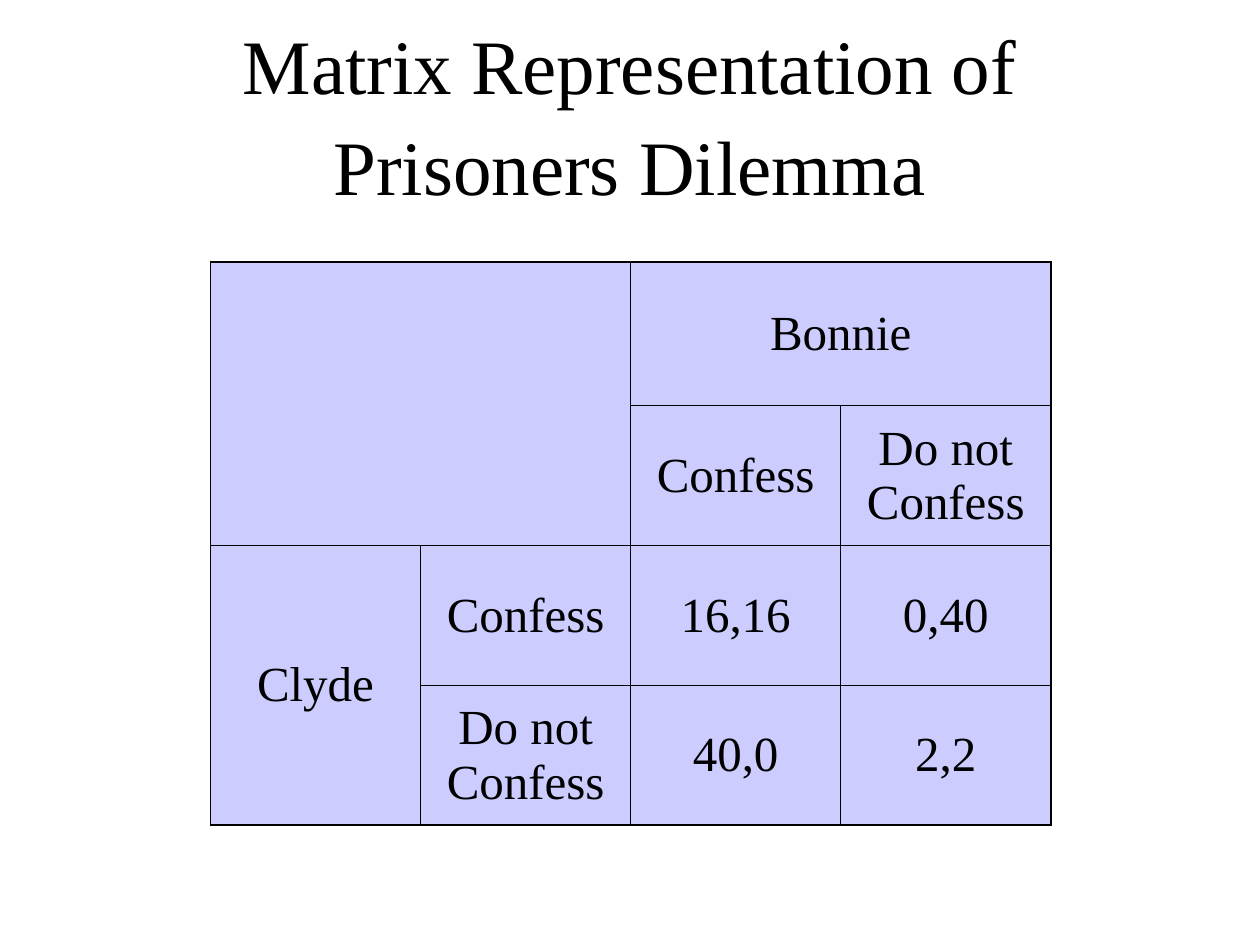
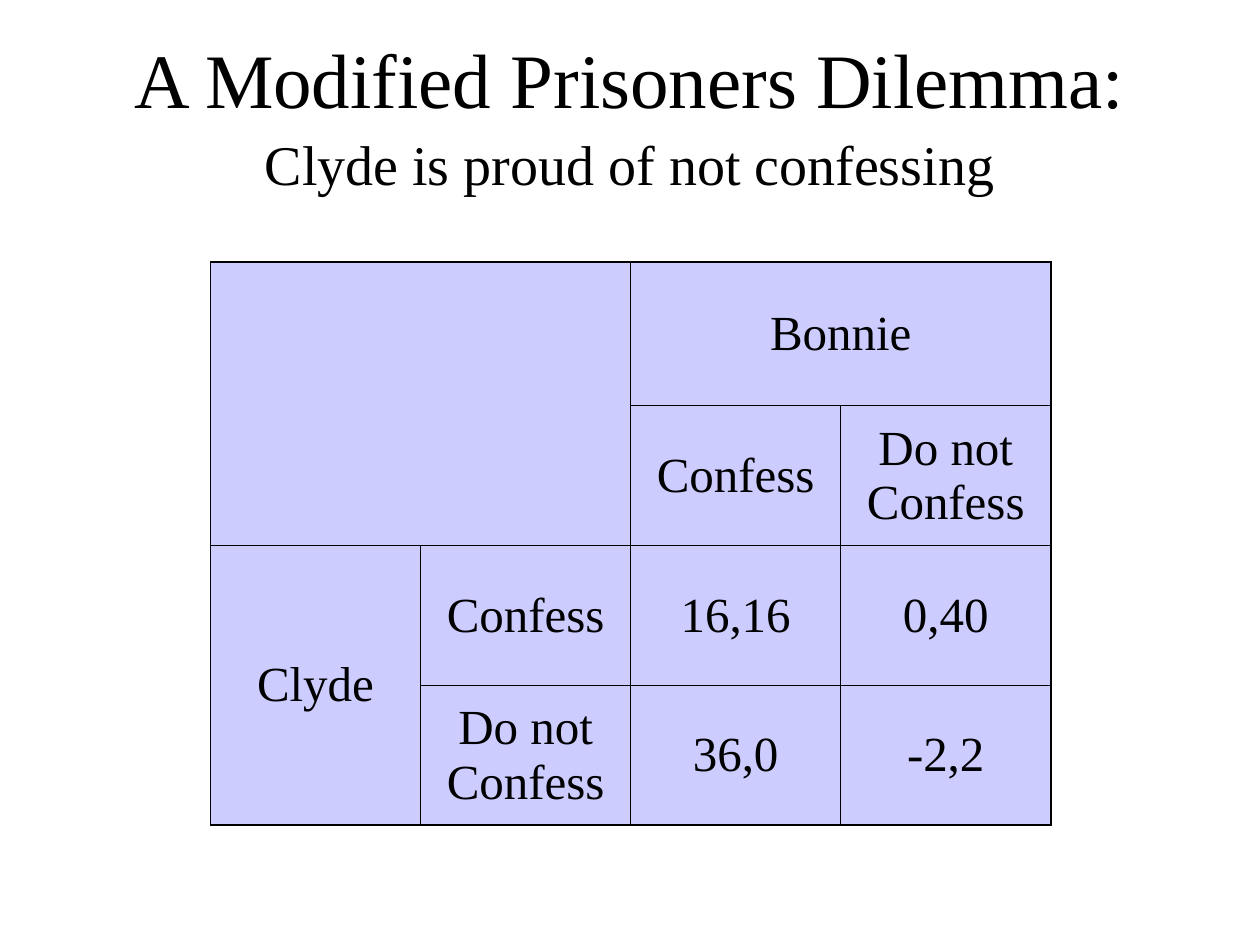
from dataclasses import dataclass
from lxml import etree
from pptx import Presentation
from pptx import util as u
from pptx.dml.color import RGBColor
from pptx.enum import text
from pptx.oxml import ns


@dataclass(frozen=True)
class Theme:
    font: str = "Times New Roman"
    ink: str = "000000"
    cell: str = "CCCCFF"
    title: int = 44
    sub: int = 32
    body: int = 28
    thin: float = 0.45
    thick: float = 1.08


LOOK = Theme()
MID = text.MSO_ANCHOR.MIDDLE
# First row, first column, last row, last column of each joined cell
SPANS = [(0, 0, 1, 1), (0, 2, 0, 3), (2, 0, 3, 0)]


def apply(obj, **vals):
    for key, val in vals.items():
        setattr(obj, key, val)


def style(item, size):
    """Set the shared typeface and ink on a run or paragraph."""
    apply(item.font, name=LOOK.font, size=u.Pt(size), bold=False)
    item.font.color.rgb = RGBColor.from_string(LOOK.ink)


def add_title(slide, head, sub=None):
    box = slide.shapes.title
    apply(box, left=u.Inches(0.75), top=u.Inches(0.25),
          width=u.Inches(8.5), height=u.Inches(1.25))
    frame = box.text_frame
    apply(frame, word_wrap=True, auto_size=text.MSO_AUTO_SIZE.NONE,
          vertical_anchor=MID)
    para = frame.paragraphs[0]
    apply(para, alignment=text.PP_ALIGN.CENTER, line_spacing=1.09)
    run = para.add_run()
    run.text = head
    style(run, LOOK.title)
    if sub:
        para.add_line_break()
        run = para.add_run()
        run.text = sub
        style(run, LOOK.sub)


def add_edge(cell, side, width):
    line = etree.SubElement(cell._tc.get_or_add_tcPr(), ns.qn(f"a:ln{side}"),
                            w=str(u.Pt(width)))
    fill = etree.SubElement(line, ns.qn("a:solidFill"))
    etree.SubElement(fill, ns.qn("a:srgbClr"), val=LOOK.ink)


def frame_cell(cell, row, col, size):
    """Thick lines on the outside of the table, thin ones inside."""
    outer = {
        "L": col == 0,
        "R": col + cell.span_width == size,
        "T": row == 0,
        "B": row + cell.span_height == size,
    }
    for side, thick in outer.items():
        add_edge(cell, side, LOOK.thick if thick else LOOK.thin)


def fill_cell(cell, words):
    cell.fill.solid()
    cell.fill.fore_color.rgb = RGBColor.from_string(LOOK.cell)
    cell.vertical_anchor = MID
    para = cell.text_frame.paragraphs[0]
    para.text = words
    para.alignment = text.PP_ALIGN.CENTER
    style(para, LOOK.body)


def add_game(slide, pays):
    """Draw the payoff matrix: Clyde in rows, Bonnie in columns."""
    moves = ["Confess", "Do not Confess"]
    grid = [["", "", "Bonnie", ""],
            ["", "", *moves],
            ["Clyde", moves[0], *pays[0]],
            ["", moves[1], *pays[1]]]
    size = len(grid)
    table = slide.shapes.add_table(
        size, size, u.Inches(1.67), u.Inches(2.08),
        u.Inches(6.67), u.Inches(4.47)).table
    apply(table, first_row=False, horz_banding=False)
    for row, high in zip(table.rows, [1.14] + [1.11] * 3):
        row.height = u.Inches(high)
    for r0, c0, r1, c1 in SPANS:
        table.cell(r0, c0).merge(table.cell(r1, c1))
    for r, row in enumerate(grid):
        for c, words in enumerate(row):
            cell = table.cell(r, c)
            if not cell.is_spanned:
                frame_cell(cell, r, c, size)
                fill_cell(cell, words)


def main():
    deck = Presentation()
    apply(deck, slide_width=u.Inches(10), slide_height=u.Inches(7.5))
    games = [
        (("Matrix Representation of Prisoners Dilemma",),
         [["16,16", "0,40"], ["40,0", "2,2"]]),
        (("A Modified Prisoners Dilemma:", "Clyde is proud of not confessing"),
         [["16,16", "0,40"], ["36,0", "-2,2"]]),
    ]
    for heads, pays in games:
        slide = deck.slides.add_slide(deck.slide_layouts[5])
        add_title(slide, *heads)
        add_game(slide, pays)
    deck.save("out.pptx")


if __name__ == "__main__":
    main()
